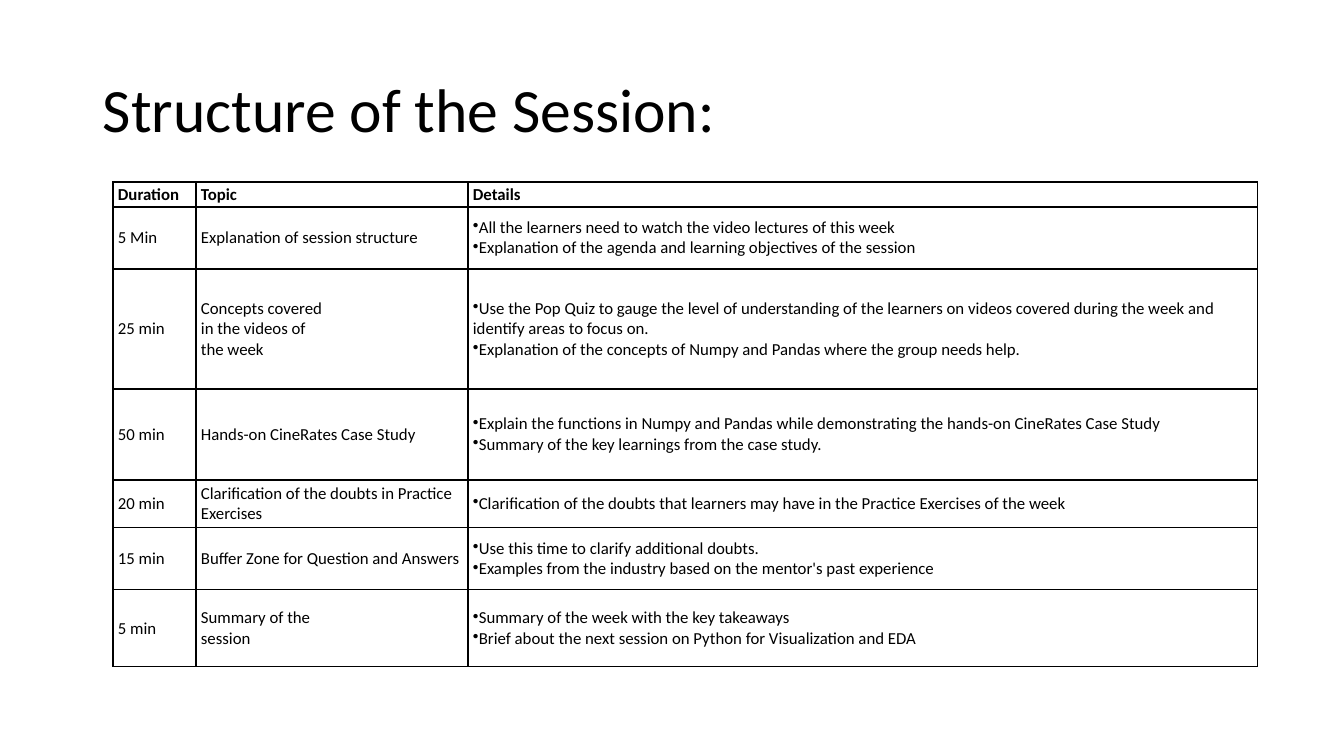
from dataclasses import dataclass

from lxml.etree import SubElement
from pptx import Presentation
from pptx.dml.color import RGBColor
from pptx.enum.text import MSO_ANCHOR as Anchor
from pptx.oxml import parse_xml
from pptx.oxml.ns import nsdecls, qn
from pptx.util import Pt


@dataclass(frozen=True)
class Theme:
    font: str = "Calibri"
    ink: str = "000000"
    paper: str = "FFFFFF"
    title_size: int = 44
    body_size: int = 12
    border_width: int = 1


theme = Theme()
EMU_PER_PX = 914400 / 100.8


def px(count):
    return round(count * EMU_PER_PX)


def style(para, size, bold=False):
    para.font.name = theme.font
    para.font.size = Pt(size)
    para.font.bold = bold
    para.font.color.rgb = RGBColor.from_string(theme.ink)


COLUMN_WIDTHS = [83, 272, 790]
SESSION_ROWS = [
    (25, "Duration", "Topic", ["Details"]),
    (62, "5 Min", "Explanation of session structure", [
        "All the learners need to watch the video lectures of this week",
        "Explanation of the agenda and learning objectives of the session",
    ]),
    (120, "25 min", "Concepts covered\vin the videos of\vthe week", [
        "Use the Pop Quiz to gauge the level of understanding of the learners on videos "
        "covered during the week and identify areas to focus on.",
        "Explanation of the concepts of Numpy and Pandas where the group needs help.",
    ]),
    (91, "50 min", "Hands-on CineRates Case Study", [
        "Explain the functions in Numpy and Pandas while demonstrating the hands-on "
        "CineRates Case Study",
        "Summary of the key learnings from the case study.",
    ]),
    (48, "20 min", "Clarification of the doubts in Practice Exercises", [
        "Clarification of the doubts that learners may have in the Practice Exercises of the week",
    ]),
    (62, "15 min", "Buffer Zone for Question and Answers", [
        "Use this time to clarify additional doubts.",
        "Examples from the industry based on the mentor's past experience",
    ]),
    (77, "5 min", "Summary of the\vsession", [
        "Summary of the week with the key takeaways",
        "Brief about the next session on Python for Visualization and EDA",
    ]),
]

deck = Presentation()
deck.slide_width, deck.slide_height = px(1344), px(756)
page = deck.slides.add_slide(deck.slide_layouts[6])

title_box = page.shapes.add_textbox(px(93), px(40), px(1159), px(146))
title_box.text_frame.word_wrap = True
title_box.text_frame.vertical_anchor = Anchor.MIDDLE
title = title_box.text_frame.paragraphs[0]
title.text = "Structure of the Session:"
title.line_spacing = 0.9
style(title, theme.title_size)

heights = [row[0] for row in SESSION_ROWS]
table = page.shapes.add_table(
    len(SESSION_ROWS), len(COLUMN_WIDTHS),
    px(113), px(182), px(sum(COLUMN_WIDTHS)), px(sum(heights)),
).table
table.first_row = table.horz_banding = False
for column, width in zip(table.columns, COLUMN_WIDTHS):
    column.width = px(width)

for row_index, (height, duration, topic, details) in enumerate(SESSION_ROWS):
    is_header = row_index == 0
    table.rows[row_index].height = px(height)
    for column_index, lines in enumerate([[duration], [topic], details]):
        cell = table.cell(row_index, column_index)
        cell.vertical_anchor = Anchor.MIDDLE
        cell.margin_left = cell.margin_right = px(5)
        cell.margin_top = cell.margin_bottom = px(2)
        cell.fill.solid()
        cell.fill.fore_color.rgb = RGBColor.from_string(theme.paper)
        properties = cell._tc.get_or_add_tcPr()
        for position, side in enumerate(["lnL", "lnR", "lnT", "lnB"]):
            properties.insert(position, parse_xml(
                f'<a:{side} {nsdecls("a")} w="{Pt(theme.border_width)}"><a:solidFill>'
                f'<a:srgbClr val="{theme.ink}"/></a:solidFill></a:{side}>'
            ))
        frame = cell.text_frame
        for line_index, line in enumerate(lines):
            para = frame.add_paragraph() if line_index else frame.paragraphs[0]
            para.text = line
            if column_index == 2 and not is_header:
                bullet = SubElement(para._p.get_or_add_pPr(), qn("a:buChar"))
                bullet.set("char", "•")
            style(para, theme.body_size, is_header)

deck.save("out.pptx")
